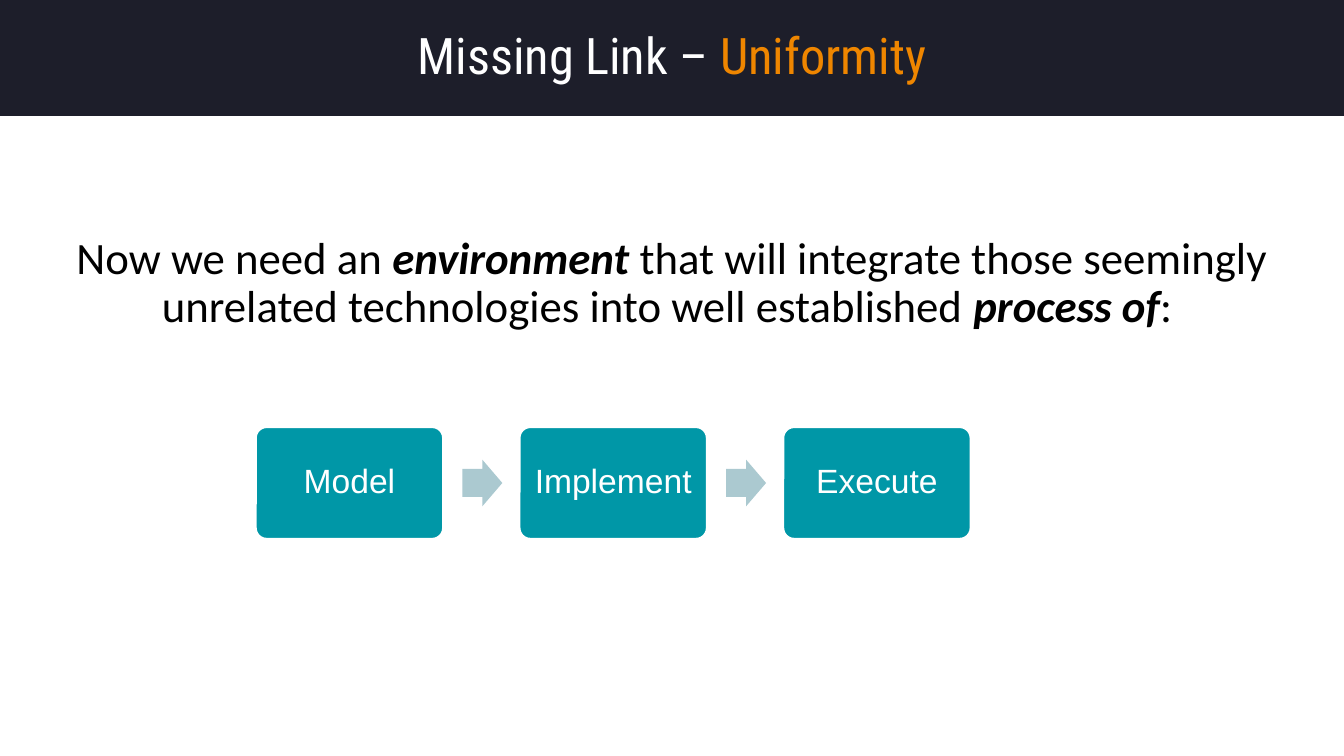
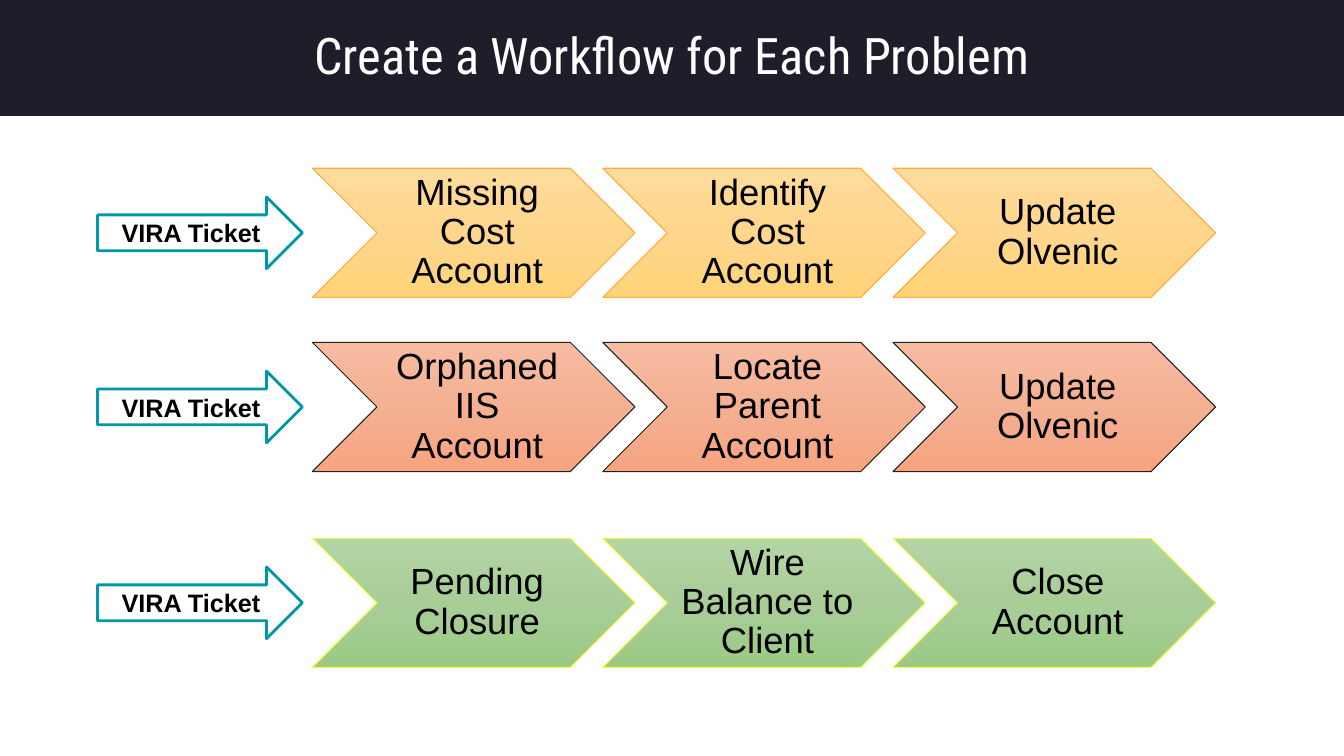
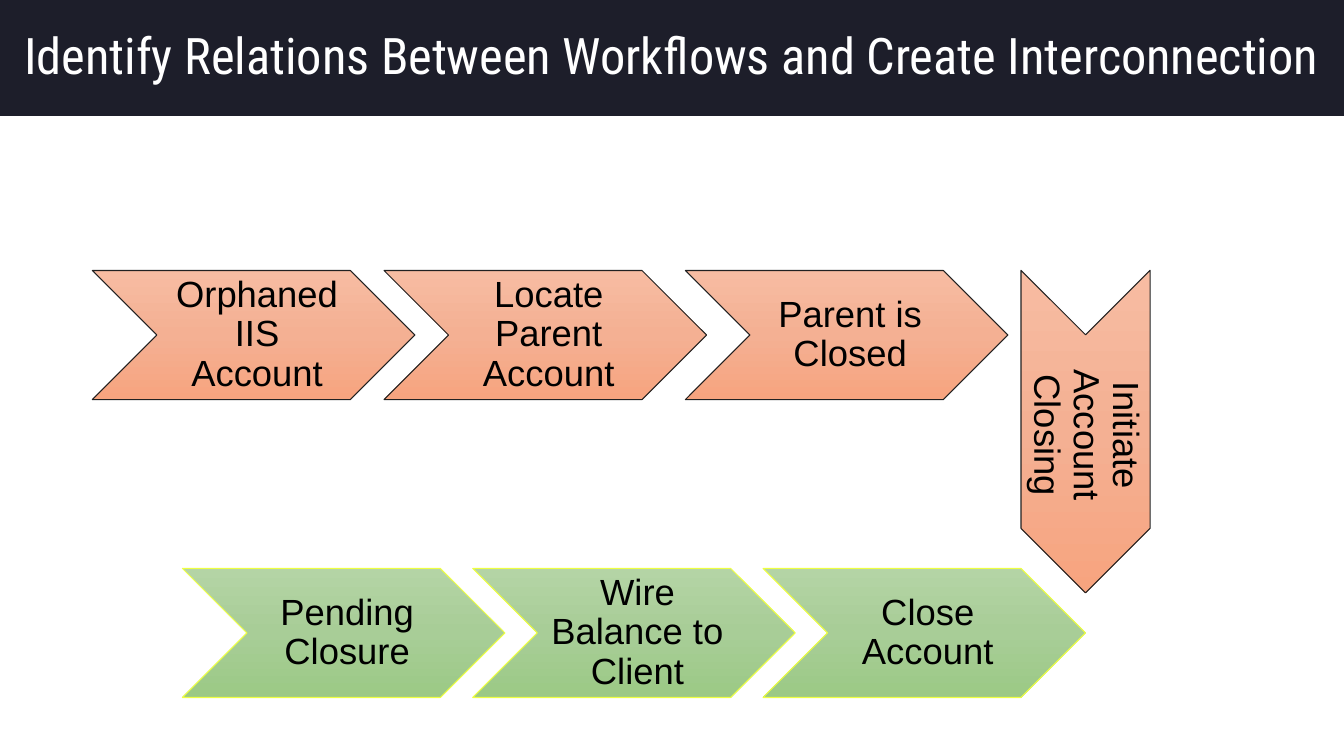
import pptx
import pptx.dml.color
import pptx.enum.shapes
import pptx.enum.text
import pptx.oxml
import pptx.oxml.ns
import pptx.util

Pt = pptx.util.Pt
PRESET = pptx.enum.shapes.MSO_SHAPE
ANCHOR = pptx.enum.text.MSO_ANCHOR

SLIDE_W, SLIDE_H = 960, 540
BAND_H = 82.8
NAVY, ORANGE, TEAL, MIST = "1D1E2A", "EF8600", "0097A7", "ABC9D0"
WHITE, BLACK = "FFFFFF", "000000"
AMBER_STEPS = (("FFDC9B", "FFD68D", "FFD478"), "FFAB40")
CORAL_STEPS = (("F7BCA2", "F4B093", "F7A47F"), "212121")
GREEN_STEPS = (("B4D4A5", "A8CD97", "9BC985"), "EEFF41")
CHEVRON_W, CHEVRON_H = 230.4, 92.2
CHEVRON_PITCH = 0.9 * CHEVRON_W
CHEVRON_INSETS = (8, 2.9, 2.9, 2.9)
TEXT_INSETS = (7.2, 3.6, 7.2, 3.6)


def paint(color_format, value):
    color_format.rgb = pptx.dml.color.RGBColor.from_string(value)


def write(shape, runs, font, size, color, insets=TEXT_INSETS, spacing=0.9,
          anchor=ANCHOR.MIDDLE):
    frame = shape.text_frame
    frame.word_wrap = True
    frame.vertical_anchor = anchor
    (frame.margin_left, frame.margin_top,
     frame.margin_right, frame.margin_bottom) = map(Pt, insets)
    paragraph = frame.paragraphs[0]
    paragraph.alignment = pptx.enum.text.PP_ALIGN.CENTER
    paragraph.line_spacing = spacing
    for text, style in runs:
        run = paragraph.add_run()
        run.text = text
        run.font.name = font
        run.font.size = Pt(size)
        run.font.bold = style.get("bold", False)
        run.font.italic = style.get("italic", False)
        paint(run.font.color, style.get("color", color))


def add_block(slide, preset, box, fill=None, line=None, line_width=2, adjust=()):
    block = slide.shapes.add_shape(preset, *map(Pt, box))
    block.shadow.inherit = False
    for index, value in enumerate(adjust):
        block.adjustments[index] = value
    if fill:
        block.fill.solid()
        paint(block.fill.fore_color, fill)
    if line:
        paint(block.line.color, line)
        block.line.width = Pt(line_width)
    else:
        block.line.fill.background()
    return block


def shade_down(shape, colors):
    shape.fill.gradient()
    shape.fill.gradient_angle = 270
    gradient = shape._element.spPr.find(pptx.oxml.ns.qn("a:gradFill"))
    gradient.set("rotWithShape", "0")
    stops = gradient.find(pptx.oxml.ns.qn("a:gsLst"))
    for stop in list(stops):
        stops.remove(stop)
    for index, color in enumerate(colors):
        stops.append(pptx.oxml.parse_xml(
            f'<a:gs {pptx.oxml.ns.nsdecls("a")} pos="{index * 50000}">'
            f'<a:srgbClr val="{color}"/></a:gs>'))


def add_titled_slide(deck, title_runs):
    slide = deck.slides.add_slide(deck.slide_layouts[6])
    band = add_block(slide, PRESET.RECTANGLE, (0, 0, SLIDE_W, BAND_H), NAVY)
    write(band, title_runs, "Roboto Condensed", 36, WHITE)
    return slide


def add_statement(slide, box, runs):
    statement = slide.shapes.add_textbox(*map(Pt, box))
    write(statement, runs, "Calibri", 32, BLACK, anchor=ANCHOR.TOP)


def add_process(slide, left, top, stages):
    stage_w, stage_h, pitch = 134.4, 80.4, 188.4
    arrow_w, arrow_h, arrow_offset = 28.6, 33.4, 147.8
    for index, name in enumerate(stages):
        x = left + index * pitch
        stage = add_block(slide, PRESET.ROUNDED_RECTANGLE, (x, top, stage_w, stage_h),
                          TEAL, WHITE, adjust=(0.1,))
        write(stage, [(name, {})], "Arial", 24, WHITE, (7.2,) * 4)
        if index < len(stages) - 1:
            add_block(slide, PRESET.RIGHT_ARROW,
                      (x + arrow_offset, top + (stage_h - arrow_h) / 2, arrow_w, arrow_h),
                      MIST, adjust=(0.6, 0.5))


def add_step(slide, left, top, name, palette, rotation=0):
    colors, outline = palette
    step = add_block(slide, PRESET.CHEVRON, (left, top, CHEVRON_W, CHEVRON_H),
                     line=outline, line_width=0.75, adjust=(0.5,))
    shade_down(step, colors)
    step.rotation = rotation
    write(step, [(name, {})], "Arial", 26, BLACK, CHEVRON_INSETS)


def add_workflow(slide, left, top, names, palette):
    for index, name in enumerate(names):
        add_step(slide, left + index * CHEVRON_PITCH, top, name, palette)


def add_ticket(slide, left, row_top):
    width, height = 146.3, 51.2
    ticket = add_block(slide, PRESET.RIGHT_ARROW,
                       (left, row_top + (CHEVRON_H - height) / 2, width, height),
                       WHITE, TEAL, adjust=(0.5, 0.5))
    write(ticket, [("VIRA Ticket", {"bold": True})], "Arial", 18, BLACK, spacing=1.0)


def build_uniformity(deck):
    slide = add_titled_slide(deck, [("Missing Link – ", {}),
                                    ("Uniformity", {"color": ORANGE})])
    emphasis = {"bold": True, "italic": True}
    add_statement(slide, (0, 164.9, SLIDE_W, 84.2), [
        ("Now we need an ", {}),
        ("environment", emphasis),
        (" that will integrate those seemingly unrelated technologies "
         "into well established ", {}),
        ("process of", emphasis),
        (": ", {}),
    ])
    add_process(slide, 182.4, 304.8, ["Model", "Implement", "Execute"])


def build_workflows(deck, closing):
    slide = add_titled_slide(deck, [("Create a Workflow for Each Problem", {})])
    workflows = [
        (120.2, ["Missing Cost Account", "Identify Cost Account", "Update Olvenic"],
         AMBER_STEPS),
        (244.6, ["Orphaned IIS Account", "Locate Parent Account", "Update Olvenic"],
         CORAL_STEPS),
        (384.5, closing, GREEN_STEPS),
    ]
    for top, names, palette in workflows:
        add_workflow(slide, 223.2, top, names, palette)
        add_ticket(slide, 69.7, top)


def build_interconnection(deck, closing):
    slide = add_titled_slide(deck, [
        ("Identify Relations Between Workflows and Create Interconnection", {})])
    for left, name in [(66, "Orphaned IIS Account"),
                       (274.3, "Locate Parent Account"),
                       (489.6, "Parent is Closed")]:
        add_step(slide, left, 193.2, name, CORAL_STEPS)
    add_step(slide, 660.2, 262.2, "Initiate Account Closing", CORAL_STEPS, 90)
    add_workflow(slide, 130.3, 406, closing, GREEN_STEPS)


def main():
    deck = pptx.Presentation()
    deck.slide_width, deck.slide_height = Pt(SLIDE_W), Pt(SLIDE_H)
    closing = ["Pending Closure", "Wire Balance to Client", "Close Account"]
    build_uniformity(deck)
    build_workflows(deck, closing)
    build_interconnection(deck, closing)
    deck.save("out.pptx")


if __name__ == "__main__":
    main()
